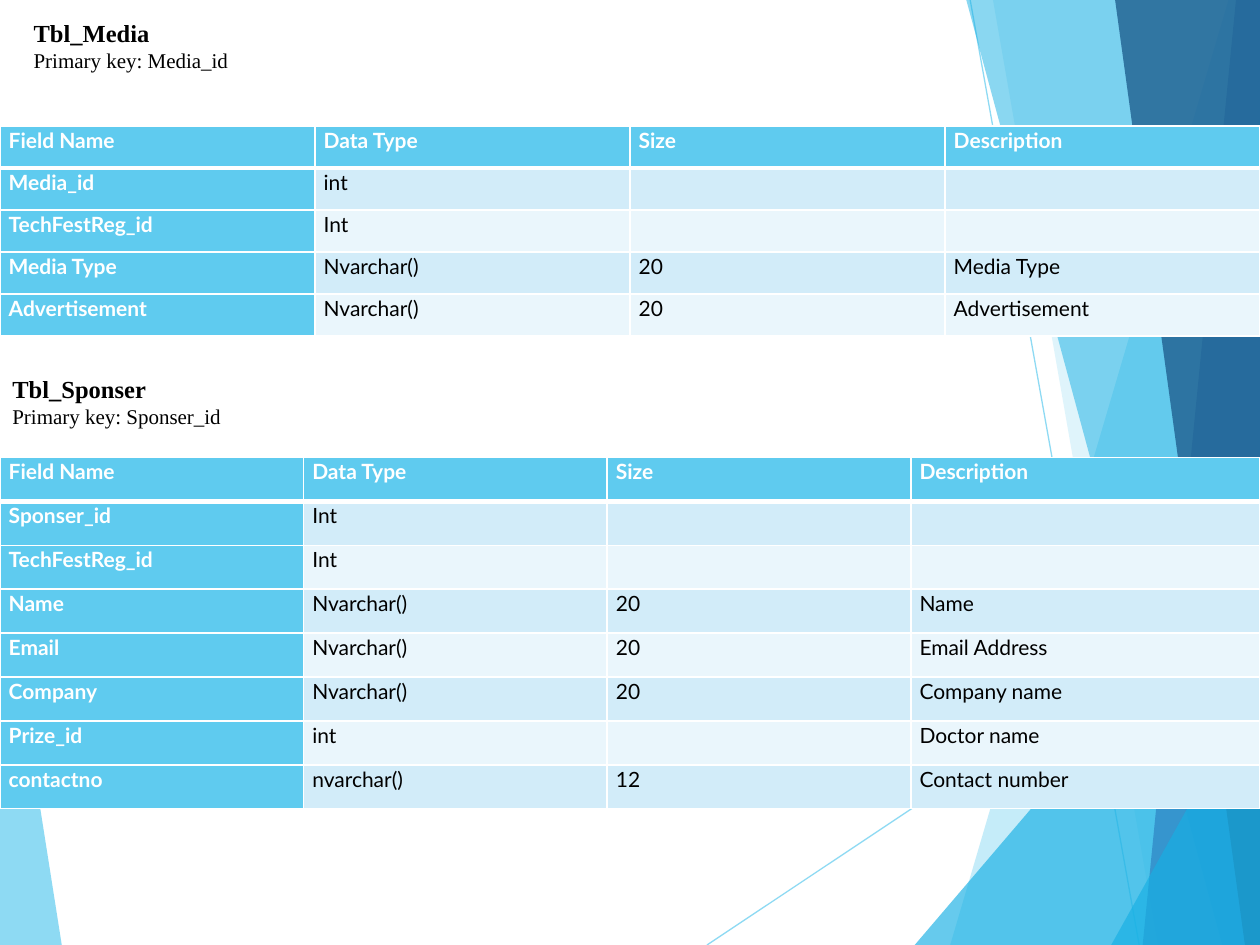
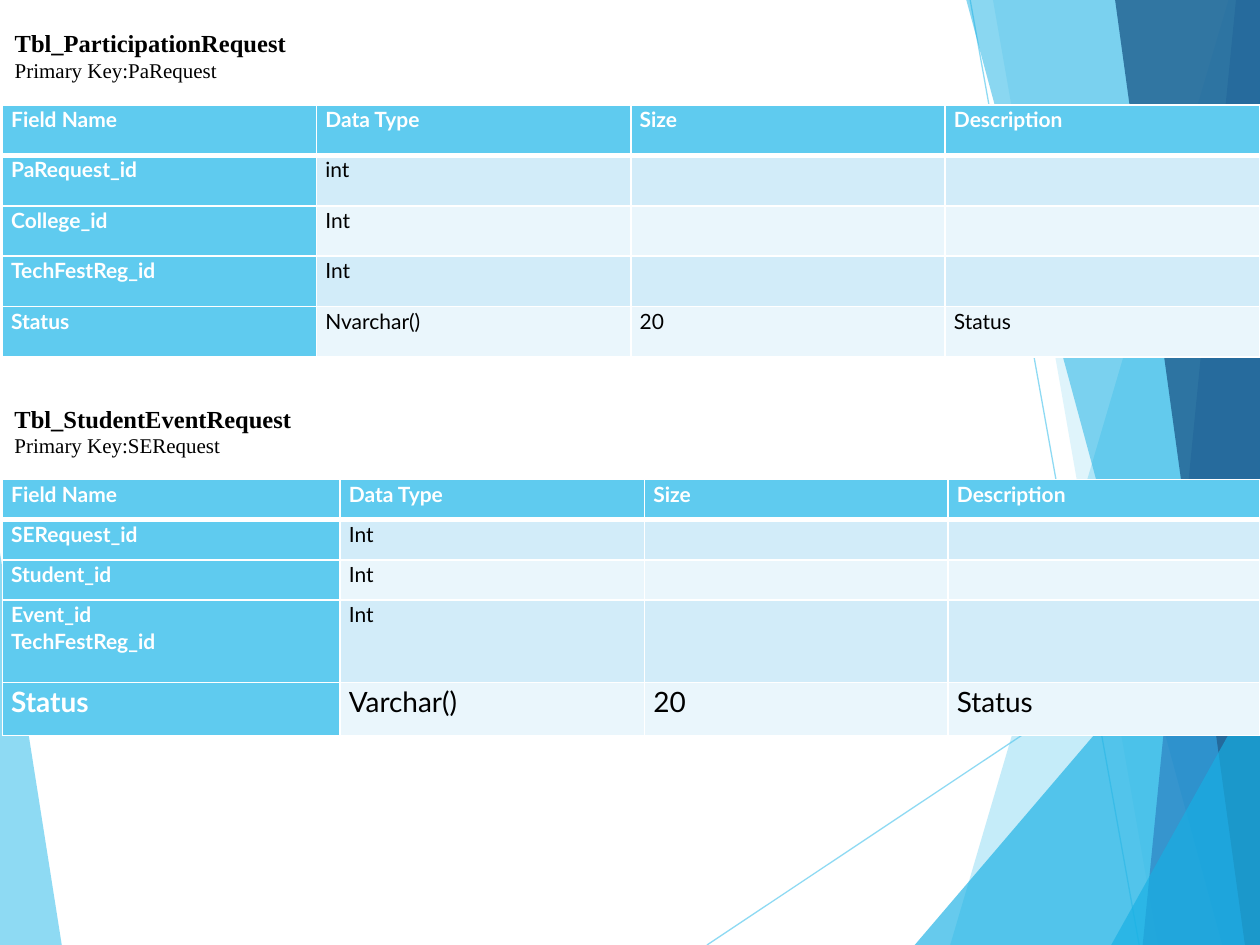
from dataclasses import dataclass

from lxml.etree import SubElement
from pptx import Presentation
from pptx.dml.color import RGBColor
from pptx.enum.shapes import MSO_CONNECTOR
from pptx.enum.text import MSO_ANCHOR, MSO_AUTO_SIZE, PP_ALIGN
from pptx.oxml.ns import qn
from pptx.util import Pt

WIDTH, HEIGHT = 720, 540
WHITE, BLACK = "FFFFFF", "000000"
SKY, AZURE, BLUE, NAVY = "5FCBEF", "17B0E4", "2E83C3", "226292"
BANDS = ("D2ECF9", "EAF6FC")
HEADING_FONT, TABLE_FONT = "Times New Roman", "Lato"
HEADER = ("Field Name", "Data Type", "Size", "Description")


@dataclass
class Facet:
    points: list[tuple[float, float]]
    color: str
    opacity: int


@dataclass
class Ray:
    start: tuple[float, float]
    end: tuple[float, float]


@dataclass
class Entity:
    """A database table: its heading and the grid of its fields."""
    name: str
    key: str
    heading_at: tuple[float, float]
    table_at: tuple[float, float]
    widths: list[float]
    heights: list[float]
    fields: list[tuple[str, str, str, str]]
    last_row_size: float = 12


def right_facet(top: float, bottom: float, color: str, opacity: int) -> Facet:
    """A full-height facet whose slanted left edge runs from top to bottom."""
    points = [(top, 0), (bottom, HEIGHT), (WIDTH, HEIGHT), (WIDTH, 0)]
    return Facet(points, color, opacity)


def corner_facet(bottom: float, side: float, color: str, opacity: int) -> Facet:
    """A triangle in the lower right corner."""
    return Facet([(bottom, HEIGHT), (WIDTH, side), (WIDTH, HEIGHT)], color, opacity)


DECOR = [
    Facet([(0, 316), (35.3, HEIGHT), (0, HEIGHT)], SKY, 70),
    Ray((404, HEIGHT), (WIDTH, 329.5)),
    Ray((554.4, 0), (651, HEIGHT)),
    right_facet(702, 543, SKY, 36),
    right_facet(567.4, 661.7, SKY, 20),
    corner_facet(522.7, 309, AZURE, 66),
    right_facet(552.2, 698.4, AZURE, 50),
    right_facet(706.3, 653, BLUE, 70),
    right_facet(637.2, 711.4, NAVY, 82),
    corner_facet(635, 387.5, AZURE, 66),
]

SLIDES = [
    [
        Entity("Tbl_Media", "Primary key: Media_id", (12, 7.7), (0, 72),
               [180] * 4, [24] * 5, [
                   ("Media_id", "int", "", ""),
                   ("TechFestReg_id", "Int", "", ""),
                   ("Media Type", "Nvarchar()", "20", "Media Type"),
                   ("Advertisement", "Nvarchar()", "20", "Advertisement"),
               ]),
        Entity("Tbl_Sponser", "Primary key: Sponser_id", (0, 211.5), (0, 261.4),
               [173.5] * 3 + [199.5], [25.1] * 8, [
                   ("Sponser_id", "Int", "", ""),
                   ("TechFestReg_id", "Int", "", ""),
                   ("Name", "Nvarchar()", "20", "Name"),
                   ("Email", "Nvarchar()", "20", "Email Address"),
                   ("Company", "Nvarchar()", "20", "Company name"),
                   ("Prize_id", "int", "", "Doctor name"),
                   ("contactno", "nvarchar()", "12", "Contact number"),
               ]),
    ],
    [
        Entity("Tbl_ParticipationRequest", "Primary Key:PaRequest", (1.2, 13.5),
               (1.4, 60), [179.6] * 4, [28.8] * 5, [
                   ("PaRequest_id", "int", "", ""),
                   ("College_id", "Int", "", ""),
                   ("TechFestReg_id", "Int", "", ""),
                   ("Status", "Nvarchar()", "20", "Status"),
               ]),
        Entity("Tbl_StudentEventRequest", "Primary Key:SERequest", (1.2, 228.2),
               (1.4, 274), [193, 174, 173.5, 178], [23, 23, 23, 47, 30.3], [
                   ("SERequest_id", "Int", "", ""),
                   ("Student_id", "Int", "", ""),
                   ("Event_id\nTechFestReg_id", "Int", "", ""),
                   ("Status", "Varchar()", "20", "Status"),
               ], last_row_size=16),
    ],
]


def rgb(color: str) -> RGBColor:
    return RGBColor.from_string(color)


def set_all(target, values: dict) -> None:
    for name, value in values.items():
        setattr(target, name, value)


def format_font(font, name: str, size: float, bold: bool, color: str) -> None:
    set_all(font, {"name": name, "size": Pt(size), "bold": bold})
    font.color.rgb = rgb(color)


def set_opacity(shape, percent: int) -> None:
    clr = next(shape.element.spPr.iter(qn("a:srgbClr")))
    SubElement(clr, qn("a:alpha")).set("val", str(percent * 1000))


def draw_facet(s, facet: Facet):
    (x, y), *rest = [(Pt(x), Pt(y)) for x, y in facet.points]
    builder = s.shapes.build_freeform(x, y)
    builder.add_line_segments(rest, close=True)
    sp = builder.convert_to_shape()
    sp.shadow.inherit = False
    sp.fill.solid()
    sp.fill.fore_color.rgb = rgb(facet.color)
    sp.line.fill.background()
    set_opacity(sp, facet.opacity)
    return sp


def draw_ray(s, ray: Ray):
    ends = [Pt(v) for v in (*ray.start, *ray.end)]
    line = s.shapes.add_connector(MSO_CONNECTOR.STRAIGHT, *ends)
    line.line.color.rgb = rgb(SKY)
    line.line.width = Pt(0.75)
    set_opacity(line, 70)
    SubElement(line.element.spPr, qn("a:effectLst"))
    return line


def decorate_layout(layout, s) -> None:
    """Draw the facets on a slide and move them to its layout."""
    for number, item in enumerate(DECOR, start=100):
        draw = draw_facet if isinstance(item, Facet) else draw_ray
        element = draw(s, item).element
        next(element.iter(qn("p:cNvPr"))).set("id", str(number))
        layout.shapes.element.append(element)


def write_heading(sp, entity: Entity) -> None:
    left, top = entity.heading_at
    set_all(sp, {"left": Pt(left), "top": Pt(top),
                 "width": Pt(WIDTH), "height": Pt(36)})
    tf = sp.text_frame
    tf.text = f"{entity.name}\n{entity.key}"
    set_all(tf, {"word_wrap": True, "auto_size": MSO_AUTO_SIZE.NONE,
                 "vertical_anchor": MSO_ANCHOR.MIDDLE,
                 "margin_left": Pt(7.2), "margin_right": Pt(7.2),
                 "margin_top": 0, "margin_bottom": 0})
    for p, size, bold in zip(tf.paragraphs, (14, 12), (True, False)):
        p.alignment = PP_ALIGN.LEFT
        format_font(p.runs[0].font, HEADING_FONT, size, bold, BLACK)


def add_borders(cell, top: float, bottom: float) -> None:
    props = cell._tc.get_or_add_tcPr()
    for side, width in {"L": 1, "R": 1, "T": top, "B": bottom}.items():
        ln = SubElement(props, qn(f"a:ln{side}"), w=str(Pt(width)))
        fill = SubElement(ln, qn("a:solidFill"))
        SubElement(fill, qn("a:srgbClr"), val=WHITE)


def write_cell(cell, text: str, row: int, col: int, size: float) -> None:
    is_heading = row == 0 or col == 0
    add_borders(cell, top=3 if row == 1 else 1, bottom=3 if row == 0 else 1)
    cell.fill.solid()
    cell.fill.fore_color.rgb = rgb(SKY if is_heading else BANDS[(row - 1) % 2])
    set_all(cell, {"margin_left": Pt(5), "margin_right": Pt(5),
                   "margin_top": 0, "margin_bottom": 0,
                   "vertical_anchor": MSO_ANCHOR.TOP})
    if not text:
        return
    cell.text = text
    for p in cell.text_frame.paragraphs:
        p.line_spacing = 1.07
        format_font(p.runs[0].font, TABLE_FONT, size, is_heading,
                    WHITE if is_heading else BLACK)


def add_field_table(s, entity: Entity) -> None:
    rows = [HEADER, *entity.fields]
    left, top = entity.table_at
    frame = s.shapes.add_table(len(rows), len(HEADER), Pt(left), Pt(top),
                               Pt(sum(entity.widths)), Pt(sum(entity.heights)))
    table = frame.table
    table.horz_banding = False
    for column, width in zip(table.columns, entity.widths):
        column.width = Pt(width)
    for row, (texts, height) in enumerate(zip(rows, entity.heights)):
        table.rows[row].height = Pt(height)
        size = entity.last_row_size if row == len(rows) - 1 else 12
        for col, text in enumerate(texts):
            write_cell(table.cell(row, col), text, row, col, size)


def main() -> None:
    prs = Presentation()
    set_all(prs, {"slide_width": Pt(WIDTH), "slide_height": Pt(HEIGHT)})
    layout = prs.slide_layouts.get_by_name("Title Only")
    for number, entities in enumerate(SLIDES):
        s = prs.slides.add_slide(layout)
        if number == 0:
            decorate_layout(layout, s)
        upper, lower = entities
        write_heading(s.shapes.title, upper)
        add_field_table(s, upper)
        write_heading(s.shapes.add_textbox(0, 0, Pt(WIDTH), Pt(36)), lower)
        add_field_table(s, lower)
    prs.save("out.pptx")


if __name__ == "__main__":
    main()
